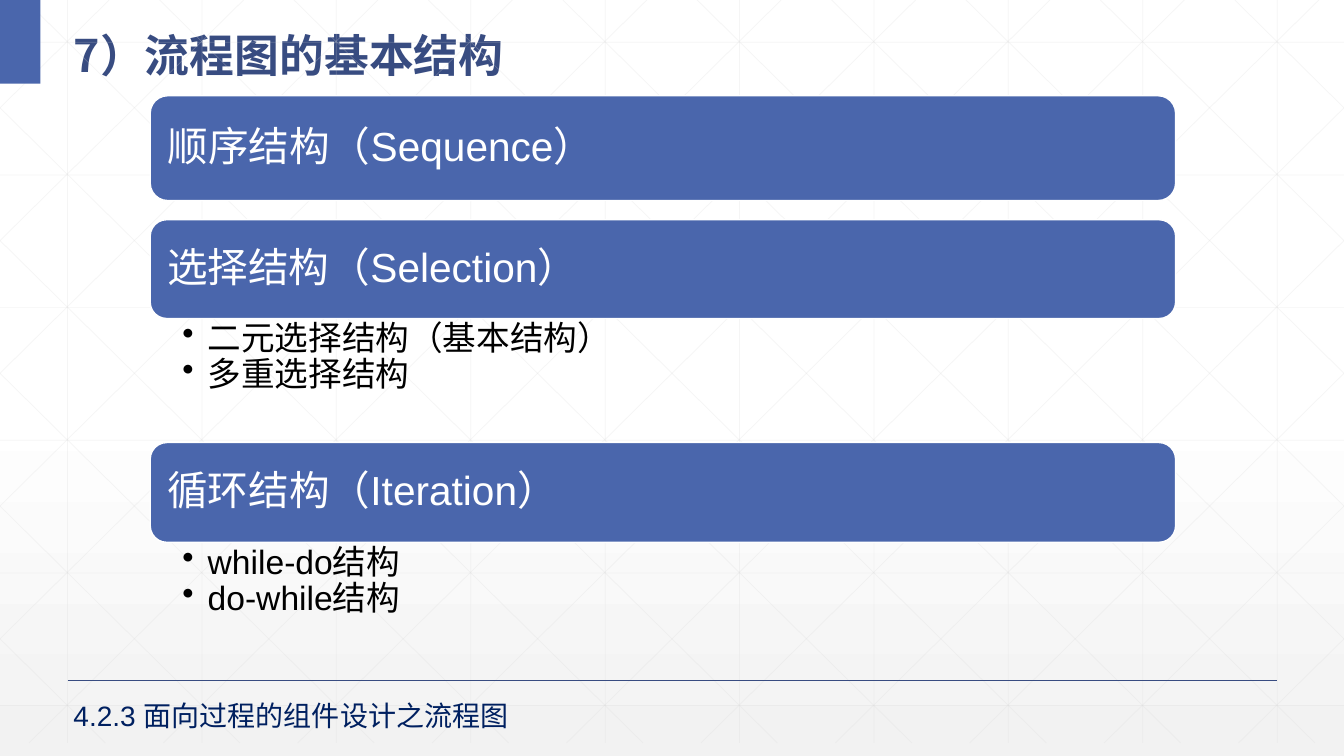
from lxml import etree
from pptx import Presentation
from pptx.dml.color import RGBColor
from pptx.enum.shapes import MSO_CONNECTOR, MSO_SHAPE
from pptx.enum.text import MSO_ANCHOR, PP_ALIGN
from pptx.oxml.ns import qn
from pptx.util import Inches, Pt

STRAIGHT = MSO_CONNECTOR.STRAIGHT
RECTANGLE, ROUNDED = MSO_SHAPE.RECTANGLE, MSO_SHAPE.ROUNDED_RECTANGLE
TOP, MIDDLE = MSO_ANCHOR.TOP, MSO_ANCHOR.MIDDLE
LEFT = PP_ALIGN.LEFT

WHITE = RGBColor(0xFF, 0xFF, 0xFF)
PALE = RGBColor(0xF2, 0xF2, 0xF2)
GRID = RGBColor(0xD9, 0xD9, 0xD9)
BLUE = RGBColor(0x4A, 0x66, 0xAC)
DARK_BLUE = RGBColor(0x38, 0x4C, 0x81)
NAVY = RGBColor(0x00, 0x20, 0x60)
BLACK = RGBColor(0x00, 0x00, 0x00)

BODY_FONT, TITLE_FONT = "Arial", "Noto Sans CJK SC"
WIDTH, HEIGHT = 13.33, 7.5
GRID_BOTTOM, DIAGONAL_RUN = 7.37, 7.46
COLUMN_STEP, ROW_STEP = 1.333, 1.316
BAR_LEFT, BAR_WIDTH = 1.49, 10.17
STRUCTURES = [
    ("顺序结构（Sequence）", 0.95, 1.04, []),
    ("选择结构（Selection）", 2.18, 0.98, ["二元选择结构（基本结构）", "多重选择结构"]),
    ("循环结构（Iteration）", 4.39, 0.99, ["while-do结构", "do-while结构"]),
]


def add_line(page, start, end, color, width, opacity=None):
    """Draw a straight line between two points, optionally translucent."""
    line = page.shapes.add_connector(STRAIGHT, *map(Inches, start + end))
    line.line.color.rgb = color
    line.line.width = Pt(width)
    properties = line._element.spPr
    if opacity:
        tint = properties.find(".//" + qn("a:srgbClr"))
        etree.SubElement(tint, qn("a:alpha"), val=str(opacity * 1000))
    etree.SubElement(properties, qn("a:effectLst"))


def add_grid(page):
    """Draw the faint background lattice, its diagonals clipped to the page."""
    lines = []
    for column in range(10):
        x = 0.67 + column * COLUMN_STEP
        lines.append(((x, 0), (x, GRID_BOTTOM)))
    for row in range(6):
        y = 0.42 + row * ROW_STEP
        lines.append(((0, y), (WIDTH, y)))
    slope = GRID_BOTTOM / DIAGONAL_RUN
    for step in range(-5, 10):
        origin = 0.25 + step * COLUMN_STEP
        x1, x2 = max(origin, 0), min(origin + DIAGONAL_RUN, WIDTH)
        y1, y2 = (x1 - origin) * slope, (x2 - origin) * slope
        lines.append(((x1, y1), (x2, y2)))
        lines.append(((WIDTH - x1, y1), (WIDTH - x2, y2)))
    for start, end in lines:
        add_line(page, start, end, GRID, 0.5, opacity=25)


def add_block(page, kind, left, top, width, height):
    """Add a plain blue shape."""
    block = page.shapes.add_shape(kind, *map(Inches, (left, top, width, height)))
    block.shadow.inherit = False
    block.fill.solid()
    block.fill.fore_color.rgb = BLUE
    block.line.fill.background()
    return block


def set_frame(frame, anchor, left, top, right, bottom):
    """Set the wrapping, anchor and insets of a text frame."""
    frame.word_wrap = True
    frame.vertical_anchor = anchor
    frame.margin_left, frame.margin_top = Inches(left), Inches(top)
    frame.margin_right, frame.margin_bottom = Inches(right), Inches(bottom)


def write(para, text, size, color, spacing=None, font=BODY_FONT, bold=False):
    """Fill a paragraph with left-aligned text in one format."""
    para.text = text
    para.alignment = LEFT
    para.line_spacing = spacing
    para.font.name = font
    para.font.size = Pt(size)
    para.font.bold = bold
    para.font.color.rgb = color


def add_bar(page, text, top, height):
    """Add a rounded heading bar."""
    bar = add_block(page, ROUNDED, BAR_LEFT, top, BAR_WIDTH, height)
    bar.line.color.rgb = WHITE
    bar.line.width = Pt(1)
    set_frame(bar.text_frame, MIDDLE, 0.12, 0.12, 0.12, 0.12)
    write(bar.text_frame.paragraphs[0], text, 29, WHITE, 0.9)


def add_bullets(page, items, top):
    """Add the bulleted list under a heading bar."""
    box = page.shapes.add_textbox(*map(Inches, (BAR_LEFT, top, BAR_WIDTH, 1.24)))
    frame = box.text_frame
    set_frame(frame, TOP, 0.32, 0.03, 0.19, 0.03)
    for index, item in enumerate(items):
        para = frame.add_paragraph() if index else frame.paragraphs[0]
        properties = para._p.get_or_add_pPr()
        properties.set("marL", str(Inches(0.25)))
        properties.set("indent", str(Inches(-0.25)))
        etree.SubElement(properties, qn("a:buChar"), char="•")
        write(para, item, 24, BLACK, 0.9)


def set_background(page):
    """Fade the page from white to pale grey at the bottom."""
    fill = page.background.fill
    fill.gradient()
    fill.gradient_angle = 270
    for stop, position, color in zip(fill.gradient_stops, (0.53, 1), (WHITE, PALE)):
        stop.position = position
        stop.color.rgb = color


def set_title(page, text):
    """Place and format the title."""
    title = page.shapes.title
    title.left, title.top = Inches(0.63), Inches(0.1)
    title.width, title.height = Inches(12.42), Inches(0.73)
    set_frame(title.text_frame, MIDDLE, 0.1, 0.05, 0.1, 0.05)
    write(title.text_frame.paragraphs[0], text, 32, DARK_BLUE, 1.3, TITLE_FONT, True)


def add_footer(page, text):
    """Add the section name under the rule."""
    add_line(page, (0.67, 6.75), (12.67, 6.75), DARK_BLUE, 1)
    box = page.shapes.add_textbox(*map(Inches, (0.63, 6.88, 4.69, 0.44)))
    set_frame(box.text_frame, TOP, 0.1, 0.05, 0.1, 0.05)
    write(box.text_frame.paragraphs[0], text, 20, NAVY)


def main():
    """Build the slide and save it."""
    deck = Presentation()
    deck.slide_width, deck.slide_height = Inches(WIDTH), Inches(HEIGHT)
    page = deck.slides.add_slide(deck.slide_layouts[5])
    set_background(page)
    add_grid(page)
    add_block(page, RECTANGLE, 0, 0, 0.4, 0.83)
    set_title(page, "7）流程图的基本结构")
    for heading, top, height, items in STRUCTURES:
        add_bar(page, heading, top, height)
        if items:
            add_bullets(page, items, top + height)
    add_footer(page, "4.2.3 面向过程的组件设计之流程图")
    deck.save("out.pptx")


if __name__ == "__main__":
    main()
